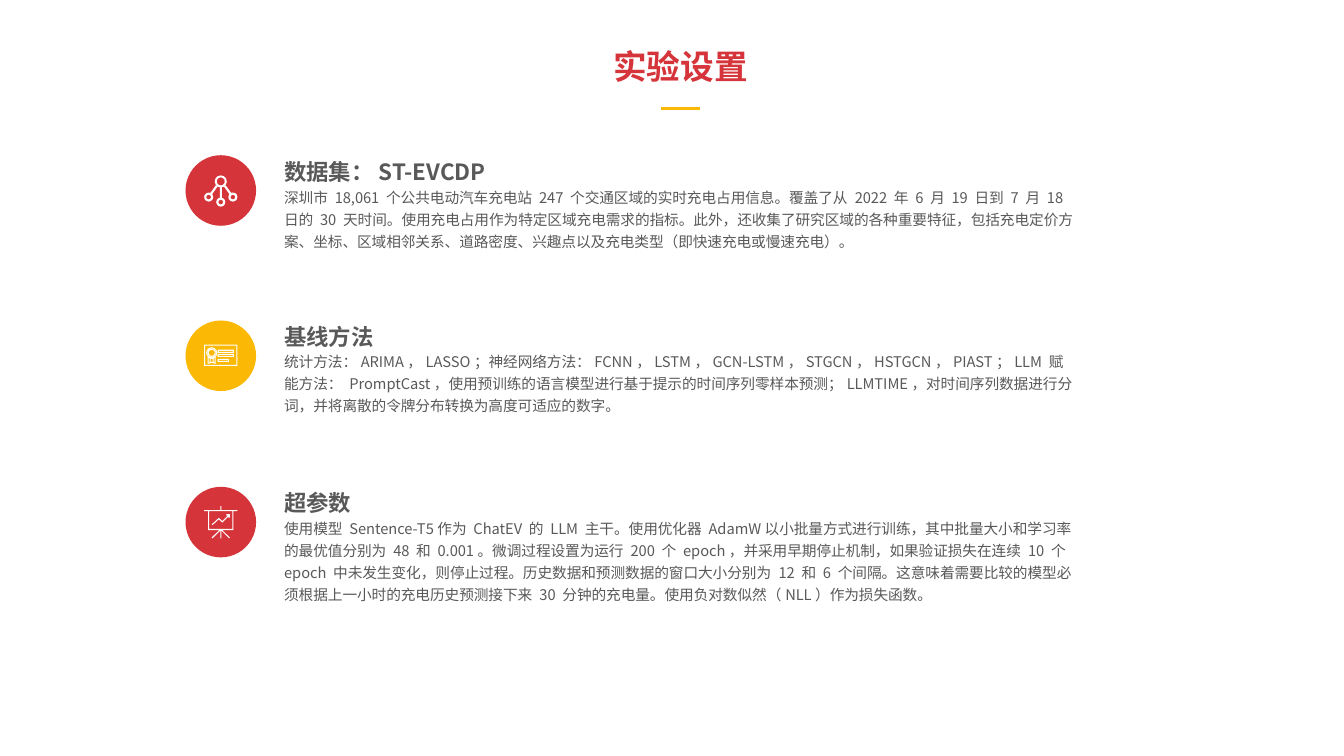
import math

import lxml.etree
import pptx
import pptx.dml.color
import pptx.enum.shapes
import pptx.enum.text
import pptx.oxml.ns
import pptx.util
from pptx.util import Inches

FONT = "Noto Sans CJK SC"
RED = pptx.dml.color.RGBColor(0xD5, 0x35, 0x3A)
YELLOW = pptx.dml.color.RGBColor(0xFB, 0xB8, 0x05)
GRAY = pptx.dml.color.RGBColor(0x59, 0x59, 0x59)
WHITE = pptx.dml.color.RGBColor(0xFF, 0xFF, 0xFF)

CIRCLE_LEFT, CIRCLE_SIZE = 1.84, 0.7
TEXT_LEFT = 2.72

# Icon contours in hundredths of an inch from the circle's centre:
# (x, y, radius), (left, top, right, bottom) or a list of corners.
# A contour inside another one cuts a hole.
NETWORK = [
    (0, -9, 6), (0, -9, 4), (-12, 6.5, 4.5), (-12, 6.5, 2.3),
    (12, 6.5, 4.5), (12, 6.5, 2.3), (0, 11.5, 4.5), (0, 11.5, 2.3),
    (-1, -3, 1, 7),
    [(-5, -5), (-3.3, -3.8), (-8.5, 3.5), (-10.3, 2.4)],
    [(5, -5), (3.3, -3.8), (8.5, 3.5), (10.3, 2.4)],
]
CERTIFICATE = [
    (-16.5, -11, 16.5, 10), (-15.5, -10, 15.5, 9),
    (-9, -3, 5.5), (-9, -3, 4.5), (-9, -3, 4), (-9, -3, 3),
    (-3, -6, 13, -3), (-2, -5, 12, -4),
    (-3, -2, 13, 1), (-2, -1, 12, 0),
    (-3, 3, 8, 6), (-2, 4, 7, 5),
    [(-13, 1), (-13, 8), (-9, 7), (-5, 8), (-5, 1), (-9, 2.7)],
    [(-12, 2), (-12, 7), (-11, 6), (-11, 2.5)],
    [(-6, 2), (-6, 7), (-7, 6), (-7, 2.5)],
    (-10, 3, -8, 6),
]
BOARD = [
    [(-0.5, -16), (0.5, -16), (0.5, -12), (16.5, -12), (16.5, -11), (12.5, -11),
     (12.5, 8), (1.5, 8), (9, 15.2), (8.2, 16), (0.5, 8.3), (0.5, 16),
     (-0.5, 16), (-0.5, 8.3), (-8.2, 16), (-9, 15.2), (-1.5, 8), (-12.5, 8),
     (-12.5, -11), (-16.5, -11), (-16.5, -12), (-0.5, -12)],
    (-11.5, -11, 11.5, 6.7),
    [(-9, 2.3), (-2, -4.3), (1.5, -1), (7, -6.5), (5.5, -6.5), (5.5, -8), (9, -8),
     (9, -4.5), (7.6, -4.5), (7.6, -5.7), (1.5, 0.5), (-2, -2.8), (-8.2, 3)],
]

SECTIONS = [
    (1.54, 1.47, RED, NETWORK, "数据集：ST-EVCDP",
     "深圳市 18,061 个公共电动汽车充电站 247 个交通区域的实时充电占用信息。"
     "覆盖了从 2022 年 6 月 19 日到 7 月 18 日的 30 天时间。"
     "使用充电占用作为特定区域充电需求的指标。此外，还收集了研究区域的各种重要特征，"
     "包括充电定价方案、坐标、区域相邻关系、道路密度、兴趣点以及充电类型（即快速充电或慢速充电）。"),
    (3.18, 3.1, YELLOW, CERTIFICATE, "基线方法",
     "统计方法：ARIMA，LASSO；神经网络方法：FCNN，LSTM，GCN-LSTM，STGCN，HSTGCN，PIAST；"
     "LLM 赋能方法： PromptCast，使用预训练的语言模型进行基于提示的时间序列零样本预测；"
     "LLMTIME，对时间序列数据进行分词，并将离散的令牌分布转换为高度可适应的数字。"),
    (4.83, 4.75, RED, BOARD, "超参数",
     "使用模型 Sentence-T5作为 ChatEV 的 LLM 主干。使用优化器 AdamW以小批量方式进行训练，"
     "其中批量大小和学习率的最优值分别为 48 和 0.001。微调过程设置为运行 200 个 epoch，"
     "并采用早期停止机制，如果验证损失在连续 10 个 epoch 中未发生变化，则停止过程。"
     "历史数据和预测数据的窗口大小分别为 12 和 6 个间隔。"
     "这意味着需要比较的模型必须根据上一小时的充电历史预测接下来 30 分钟的充电量。"
     "使用负对数似然（NLL）作为损失函数。"),
]


def write_text(sp, text, size, color, bold, spacing):
    tf = sp.text_frame
    tf.word_wrap = True
    tf.auto_size = pptx.enum.text.MSO_AUTO_SIZE.NONE
    tf.vertical_anchor = pptx.enum.text.MSO_ANCHOR.TOP
    p = tf.paragraphs[0]
    p.text = text
    p.line_spacing = spacing
    p.font.size = pptx.util.Pt(size)
    p.font.bold = bold
    p.font.color.rgb = color
    p.font.name = FONT
    props = p._p.pPr.find(pptx.oxml.ns.qn("a:defRPr"))
    lxml.etree.SubElement(props, pptx.oxml.ns.qn("a:ea"), typeface=FONT)
    return p


def contour_points(contour):
    """Return the corners of a circle, box or polygon contour."""
    if isinstance(contour, list):
        return contour
    if len(contour) == 4:
        left, top, right, bottom = contour
        return [(left, top), (right, top), (right, bottom), (left, bottom)]
    x, y, radius = contour
    angles = [math.tau * i / 12 for i in range(12)]
    return [(x + radius * math.cos(a), y + radius * math.sin(a)) for a in angles]


prs = pptx.Presentation()
prs.slide_width = Inches(13.33)
prs.slide_height = Inches(7.5)
slide = prs.slides.add_slide(prs.slide_layouts[5])

title = slide.shapes.title
title.left, title.top = Inches(5.33), Inches(0.41)
title.width, title.height = Inches(2.84), Inches(0.5)
p = write_text(title, "实验设置", 24, RED, True, 1.0)
p.alignment = pptx.enum.text.PP_ALIGN.CENTER

for top, text_top, color, icon, heading, body in SECTIONS:
    badge = slide.shapes.add_group_shape().shapes
    circle = badge.add_shape(pptx.enum.shapes.MSO_SHAPE.OVAL, Inches(CIRCLE_LEFT),
                             Inches(top), Inches(CIRCLE_SIZE), Inches(CIRCLE_SIZE))

    cx, cy = CIRCLE_LEFT + CIRCLE_SIZE / 2, top + CIRCLE_SIZE / 2
    builder = None
    for contour in icon:
        points = [(Inches(cx + x / 100), Inches(cy + y / 100))
                  for x, y in contour_points(contour)]
        if builder is None:
            builder = badge.build_freeform(*points[0])
        else:
            builder.move_to(*points[0])
        builder.add_line_segments(points[1:], close=True)
    symbol = builder.convert_to_shape()

    for sp, fill in ((circle, color), (symbol, WHITE)):
        sp.shadow.inherit = False
        sp.fill.solid()
        sp.fill.fore_color.rgb = fill
        sp.line.fill.background()

    texts = slide.shapes.add_group_shape().shapes
    box = texts.add_textbox(Inches(TEXT_LEFT), Inches(text_top + 0.31),
                            Inches(8.06), Inches(0.96))
    write_text(box, body, 10.5, GRAY, False, 1.25)
    box = texts.add_textbox(Inches(TEXT_LEFT), Inches(text_top),
                            Inches(4.18), Inches(0.4))
    write_text(box, heading, 16, GRAY, True, 1.2)

rule = slide.shapes.add_connector(pptx.enum.shapes.MSO_CONNECTOR.STRAIGHT,
                                  Inches(6.56), Inches(1.08), Inches(6.94), Inches(1.08))
rule.line.color.rgb = YELLOW
rule.line.width = pptx.util.Pt(2)
lxml.etree.SubElement(rule._element.spPr, pptx.oxml.ns.qn("a:effectLst"))

prs.save("out.pptx")
